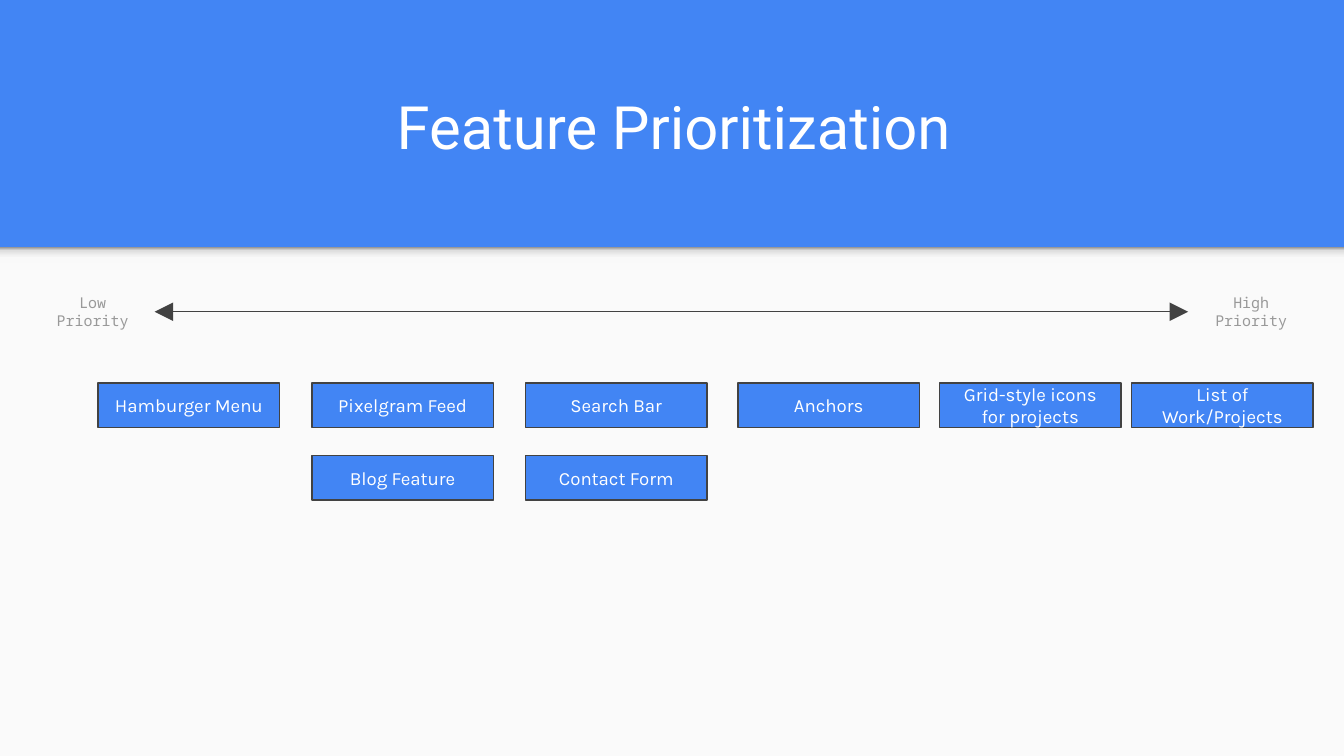
from dataclasses import dataclass

from lxml import etree
from pptx import Presentation
from pptx.dml.color import RGBColor
from pptx.enum.shapes import MSO_CONNECTOR, MSO_SHAPE
from pptx.enum.text import MSO_ANCHOR, MSO_AUTO_SIZE, PP_ALIGN
from pptx.oxml.ns import qn
from pptx.util import Inches, Pt

RECTANGLE = MSO_SHAPE.RECTANGLE
STRAIGHT = MSO_CONNECTOR.STRAIGHT
CENTER = PP_ALIGN.CENTER
MIDDLE, BOTTOM = MSO_ANCHOR.MIDDLE, MSO_ANCHOR.BOTTOM
NO_AUTOFIT = MSO_AUTO_SIZE.NONE
LEFT_SIDE, RIGHT_SIDE = 1, 3


@dataclass(frozen=True)
class Theme:
    blue: str = "4285F4"
    panel: str = "FAFAFA"
    dark: str = "424242"
    gray: str = "999999"
    white: str = "FFFFFF"
    shadow_stops: tuple = ((0, "F9F9F9"), (36, "F9F9F9"), (80, "DEDEDE"), (100, "999999"))
    title_size: int = 32
    feature_size: int = 10
    label_size: int = 8
    line_width: float = 0.75


theme = Theme()


def add_rectangle(left, top, width, height, color):
    shape = slide.shapes.add_shape(
        RECTANGLE, Inches(left), Inches(top), Inches(width), Inches(height))
    shape.shadow.inherit = False
    shape.fill.solid()
    shape.fill.fore_color.rgb = RGBColor.from_string(color)
    shape.line.fill.background()
    return shape


def write_text(shape, text, font, size, color, anchor=MIDDLE):
    frame = shape.text_frame
    frame.text = text
    frame.word_wrap = True
    frame.auto_size = NO_AUTOFIT
    frame.vertical_anchor = anchor
    frame.margin_left = frame.margin_right = Inches(0.1)
    frame.margin_top = frame.margin_bottom = Inches(0.1)
    paragraph = frame.paragraphs[0]
    paragraph.alignment = CENTER
    paragraph.font.name = font
    paragraph.font.size = Pt(size)
    paragraph.font.color.rgb = RGBColor.from_string(color)


# Widescreen 16:9 slide
presentation = Presentation()
presentation.slide_width = Inches(10)
presentation.slide_height = Inches(10) * 9 // 16
slide = presentation.slides.add_slide(presentation.slide_layouts[5])

# Blue background with a light panel below the header
slide.background.fill.solid()
slide.background.fill.fore_color.rgb = RGBColor.from_string(theme.blue)
panel = add_rectangle(0, 1.84, 10, 3.78, theme.panel)
panel.height = presentation.slide_height - panel.top

# Soft shadow under the header
header_shadow = add_rectangle(0, 1.84, 10, 0.12, theme.panel)
header_shadow.fill.gradient()
header_shadow.fill.gradient_angle = 90
stop_list = header_shadow._element.spPr.find(".//" + qn("a:gsLst"))
for stop in list(stop_list):
    stop_list.remove(stop)
for position, color in theme.shadow_stops:
    stop = etree.SubElement(stop_list, qn("a:gs"), pos=str(position * 1000))
    etree.SubElement(stop, qn("a:srgbClr"), val=color)

# Title
title = slide.shapes.title
title.left, title.top = Inches(0.52), Inches(0.46)
title.width, title.height = Inches(8.99), Inches(0.84)
write_text(title, "Feature Prioritization", "Roboto", theme.title_size, theme.white, BOTTOM)

# Labels at both ends of the priority scale
scale_ends = []
for text, left, width in (("Low Priority", 0.23, 0.92), ("High Priority", 8.84, 0.94)):
    label = slide.shapes.add_textbox(Inches(left), Inches(2.14), Inches(width), Inches(0.36))
    write_text(label, text, "Noto Sans Mono", theme.label_size, theme.gray)
    scale_ends.append(label)

# Double-headed arrow between the labels
low_label, high_label = scale_ends
arrow = slide.shapes.add_connector(STRAIGHT, 0, 0, 0, 0)
arrow.begin_connect(low_label, RIGHT_SIDE)
arrow.end_connect(high_label, LEFT_SIDE)
arrow.line.color.rgb = RGBColor.from_string(theme.dark)
arrow.line.width = Pt(theme.line_width)
arrow_properties = arrow._element.spPr
for arrowhead in ("a:headEnd", "a:tailEnd"):
    etree.SubElement(arrow_properties.find(qn("a:ln")), qn(arrowhead),
                     type="triangle", w="lg", len="lg")
etree.SubElement(arrow_properties, qn("a:effectLst"))

# Features in columns from low to high priority
feature_columns = (
    (0.73, ("Hamburger Menu",)),
    (2.32, ("Pixelgram Feed", "Blog Feature")),
    (3.91, ("Search Bar", "Contact Form")),
    (5.49, ("Anchors",)),
    (6.99, ("Grid-style icons for projects",)),
    (8.42, ("List of Work/Projects",)),
)
for left, features in feature_columns:
    for row, feature in enumerate(features):
        box = add_rectangle(left, 2.85 + row * 0.54, 1.35, 0.33, theme.blue)
        box.line.color.rgb = RGBColor.from_string(theme.dark)
        box.line.width = Pt(theme.line_width)
        write_text(box, feature, "Karla", theme.feature_size, theme.white)

presentation.save("out.pptx")
